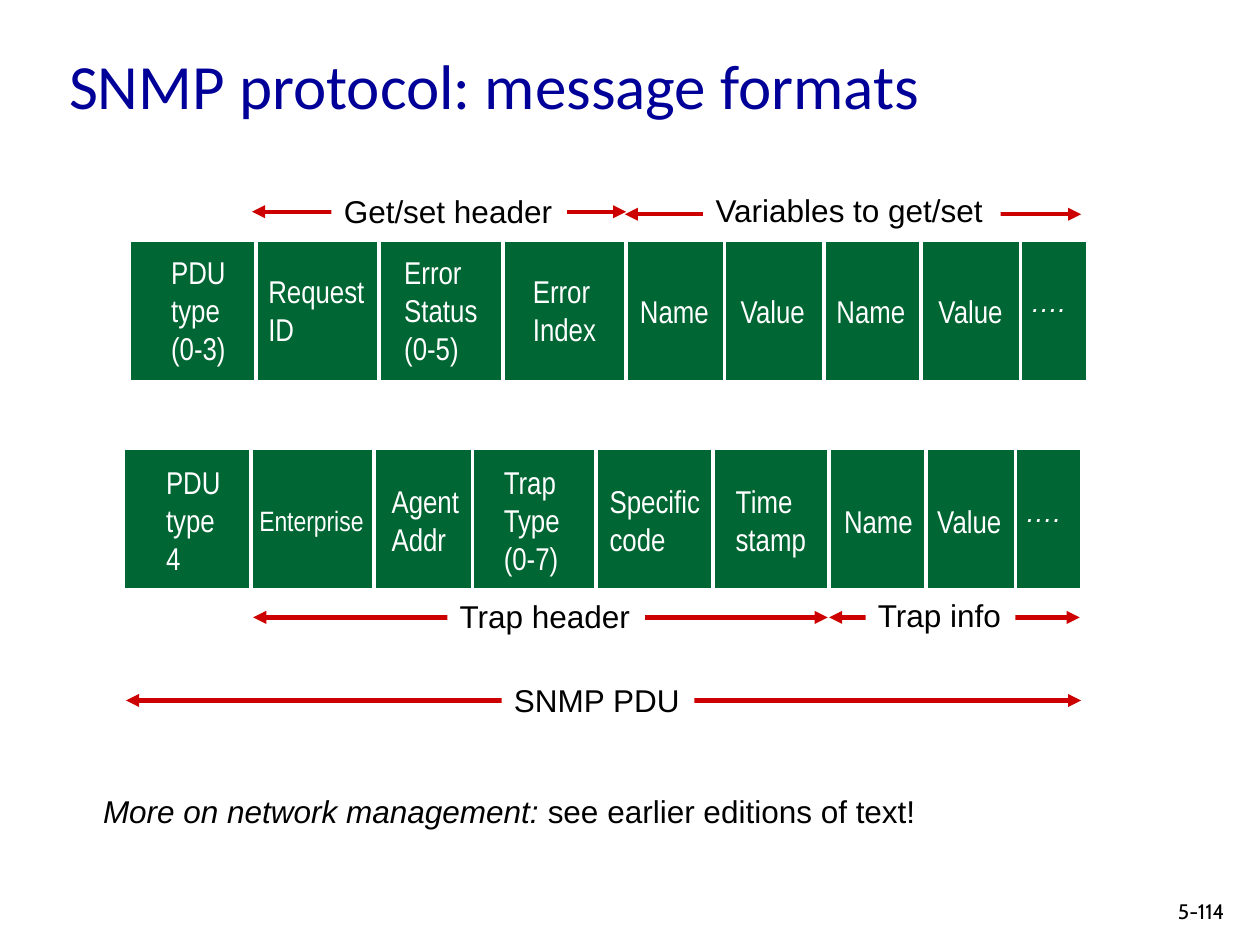
from pptx import Presentation
from pptx.dml.color import RGBColor
from pptx.enum.shapes import MSO_CONNECTOR, MSO_SHAPE
from pptx.enum.text import MSO_ANCHOR, MSO_AUTO_SIZE
from pptx.oxml.ns import qn
from pptx.util import Pt
from lxml import etree

STRAIGHT = MSO_CONNECTOR.STRAIGHT
RECTANGLE = MSO_SHAPE.RECTANGLE
MIDDLE = MSO_ANCHOR.MIDDLE
FIT = MSO_AUTO_SIZE.SHAPE_TO_FIT_TEXT

WHITE = RGBColor(0xFF, 0xFF, 0xFF)
BLACK = RGBColor(0x00, 0x00, 0x00)
GREEN = RGBColor(0x00, 0x66, 0x33)
RED = RGBColor(0xCC, 0x00, 0x00)
NAVY = RGBColor(0x00, 0x00, 0x99)

TITLE = {"name": "Calibri", "size": Pt(36), "color": NAVY}
FIELD = {"name": "Arial Narrow", "size": Pt(18), "color": WHITE}
SMALL_FIELD = {**FIELD, "size": Pt(16)}
DOTS = {"name": "Arial", "size": Pt(16), "color": WHITE, "italic": True}
LABEL = {"name": "Arial", "size": Pt(18), "color": BLACK}
PAGE = {"name": "Cabin", "size": Pt(12), "color": BLACK}

presentation = Presentation()
presentation.slide_width, presentation.slide_height = Pt(720), Pt(540)
slide = presentation.slides.add_slide(presentation.slide_layouts[6])


def add_text(left, top, width, height, paragraphs, wrap=False):
    """Add a text box; each paragraph is a list of (text, format) runs."""
    box = slide.shapes.add_textbox(Pt(left), Pt(top), Pt(width), Pt(height))
    frame = box.text_frame
    frame.word_wrap = wrap
    if not wrap:
        frame.auto_size = FIT
    for index, runs in enumerate(paragraphs):
        paragraph = frame.add_paragraph() if index else frame.paragraphs[0]
        for text, formats in runs:
            run = paragraph.add_run()
            run.text = text
            for key, value in formats.items():
                if key == "color":
                    run.font.color.rgb = value
                else:
                    setattr(run.font, key, value)
    return box


def add_line(x1, y1, x2, y2, color, width, arrows=False):
    line = slide.shapes.add_connector(STRAIGHT, Pt(x1), Pt(y1), Pt(x2), Pt(y2))
    line.line.color.rgb = color
    line.line.width = Pt(width)
    if arrows:
        outline = line.line._get_or_add_ln()
        for end in ("a:headEnd", "a:tailEnd"):
            etree.SubElement(outline, qn(end), type="triangle")
    etree.SubElement(line._element.spPr, qn("a:effectLst"))


# Title
title = add_text(32.4, 17.3, 612, 61.2, [[("SNMP protocol: message formats", TITLE)]], wrap=True)
title.text_frame.vertical_anchor = MIDDLE

# Message rows: left, top, text centre, divider positions, fields (lines, left, width)
BAND_WIDTH, BAND_HEIGHT = 546.5, 79.2
TEXT_HEIGHTS = {1: 28.8, 2: 51.1, 3: 72.7}
DOTS_HEIGHT = 20.5
rows = [
    (74.2, 138.2, 177.5,
     [146.2, 216.7, 287.3, 357.8, 414, 470.9, 526.3, 583.2],
     [(["PDU", "type", "(0-3)"], 90.7, 46), (["Request", "ID"], 146.2, 70),
      (["Error", "Status", "(0-5)"], 223.9, 57), (["Error", "Index"], 297.4, 51),
      (["Name"], 358.6, 54.5), (["Value"], 416.2, 52),
      (["Name"], 470.9, 54), (["Value"], 529.2, 52), (["…."], 581.8, 39)]),
    (71.3, 257, 297.5,
     [143.3, 213.8, 270, 340.6, 407.5, 473.8, 529.2, 580.3],
     [(["PDU", "type", "4"], 87.8, 46), (["Enterprise"], 141.1, 75),
      (["Agent", "Addr"], 216.7, 53), (["Trap", "Type", "(0-7)"], 280.8, 47),
      (["Specific", "code"], 341.3, 67), (["Time", "stamp"], 413.3, 55.5),
      (["Name"], 475.2, 54), (["Value"], 528.5, 52), (["…."], 578.9, 39)]),
]
for left, top, centre, dividers, fields in rows:
    band = slide.shapes.add_shape(RECTANGLE, Pt(left), Pt(top), Pt(BAND_WIDTH), Pt(BAND_HEIGHT))
    band.shadow.inherit = False
    band.fill.solid()
    band.fill.fore_color.rgb = GREEN
    band.line.color.rgb = WHITE
    band.line.width = Pt(0.75)
    for x in dividers:
        add_line(x, top, x, top + BAND_HEIGHT + 0.5, WHITE, 2)
    for lines, x, width in fields:
        formats, height = FIELD, TEXT_HEIGHTS[len(lines)]
        if lines == ["…."]:
            formats, height = DOTS, DOTS_HEIGHT
        elif lines == ["Enterprise"]:
            formats, height = SMALL_FIELD, 26.6
        box = add_text(x, centre - height / 2, width, height,
                       [[(text, formats)] for text in lines])
        if formats is DOTS:
            box.top -= Pt(1)
            box.text_frame.paragraphs[0].line_spacing = Pt(12)

# Spans: arrow start, end and height, then label, left, top, width
spans = [
    (144.7, 473, 352.8, "Trap header", 255.6, 337.7, 113),
    (473.8, 617, 352.8, "Trap info", 494.6, 337, 85.7),
    (144, 357.8, 121, "Get/set header", 189.4, 106, 134.6),
    (357.1, 617.8, 122.4, "Variables to get/set", 401.8, 105.8, 170),
    (72, 617.8, 400.3, "SNMP PDU", 286.6, 385.9, 110.2),
]
for start, end, y, text, left, top, width in spans:
    add_line(start, y, end, y, RED, 2.5, arrows=True)
    label = add_text(left, top, width, TEXT_HEIGHTS[1], [[(text, LABEL)]])
    label.fill.solid()
    label.fill.fore_color.rgb = WHITE

# Closing remark and page number
add_text(51.8, 449.3, 483, TEXT_HEIGHTS[1],
         [[("More on network management: ", {**LABEL, "italic": True}),
           ("see earlier editions of text!", LABEL)]])
add_text(666, 509.8, 54, 22.3, [[("5-114", PAGE)]], wrap=True)

presentation.save("out.pptx")
